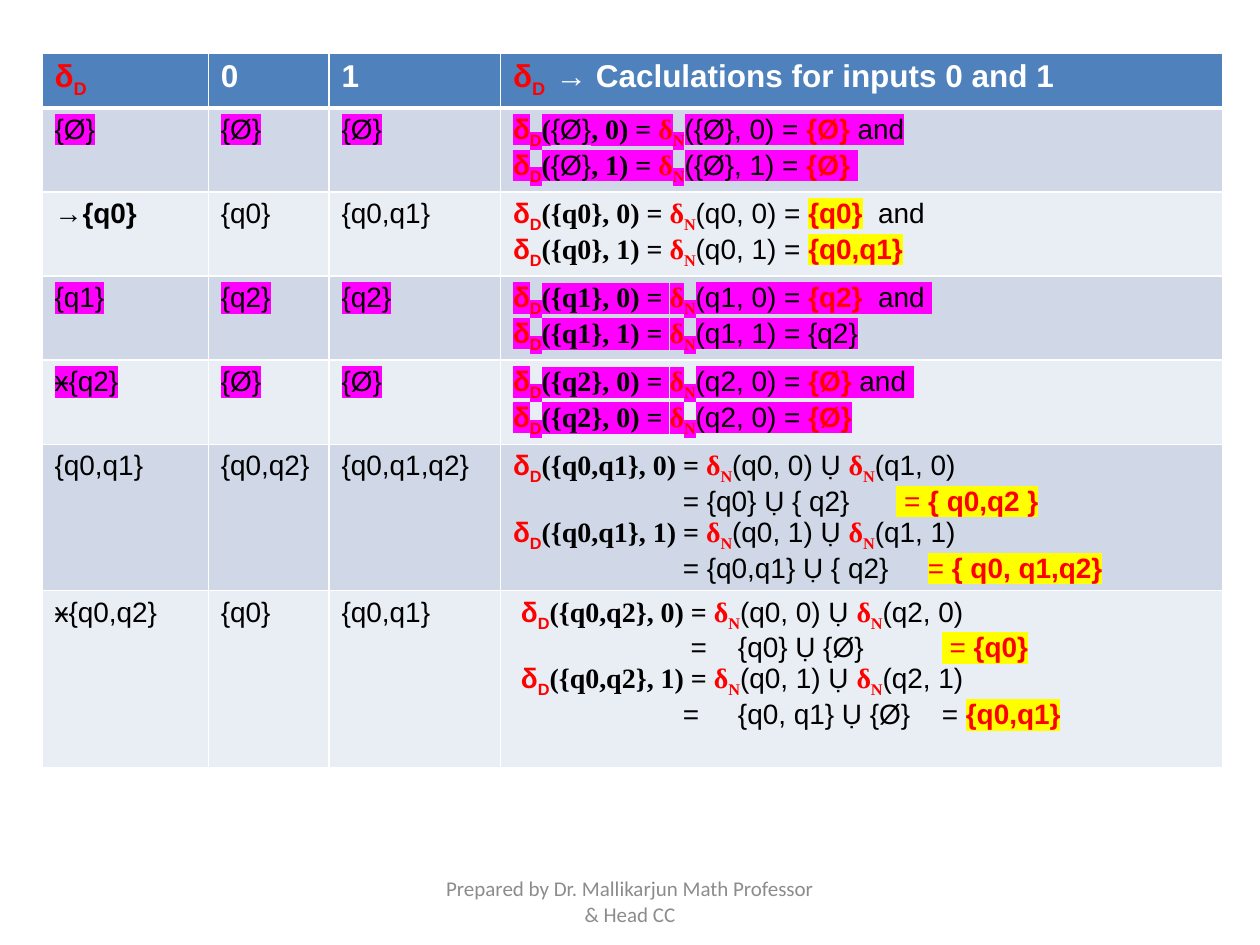
from dataclasses import dataclass, field

from lxml.etree import SubElement
from pptx import Presentation
from pptx.dml.color import RGBColor
from pptx.enum.text import MSO_ANCHOR, PP_ALIGN
from pptx.oxml.ns import qn
from pptx.util import Pt

SANS, SERIF = "Arial", "Times New Roman"
RED, BLACK, WHITE = "FF0000", "000000", "FFFFFF"
PINK, GOLD = "FF00FF", "FFFF00"


@dataclass(frozen=True)
class Look:
    font: str = SANS
    color: str = BLACK
    bold: bool = False
    sub: bool = False
    mark: str = ""


@dataclass(frozen=True)
class Theme:
    head: str = "4F81BD"
    bands: tuple = ("D0D8E8", "E9EDF4")
    line: str = WHITE
    head_size: float = 18
    body_size: float = 16
    foot_size: float = 12
    looks: dict = field(default_factory=lambda: {
        "plain": Look(),
        "bold": Look(bold=True),
        "white": Look(color=WHITE, bold=True),
        "red": Look(color=RED, bold=True),
        "redsub": Look(color=RED, bold=True, sub=True),
        "serif": Look(SERIF, bold=True),
        "delta": Look(SERIF, RED, True),
        "deltasub": Look(SERIF, RED, True, True),
        "gold": Look(color=RED, bold=True, mark=GOLD),
        "goldeq": Look(color=RED, mark=GOLD),
        "foot": Look("Calibri", "8C8C8C"),
    })


THEME = Theme()
COLS = (95, 69, 98, 413)
ROWS = (31.5, 48, 48, 48, 48, 83.5, 101.5)


# Text
def add_run(par, text, look, size, mark=""):
    style = THEME.looks[look]
    run = par.add_run()
    run.text = text
    font = run.font
    font.name, font.size, font.bold = style.font, Pt(size), style.bold
    font.color.rgb = RGBColor.from_string(style.color)
    props = run._r.get_or_add_rPr()
    if style.sub:
        props.set("baseline", "-25000")
    tint = style.mark or mark
    if tint:
        high = SubElement(props, qn("a:highlight"))
        SubElement(high, qn("a:srgbClr")).set("val", tint)
        props.find(qn("a:solidFill")).addnext(high)


def add_tabs(par, stops):
    tabs = SubElement(par._p.get_or_add_pPr(), qn("a:tabLst"))
    for stop in stops:
        tab = SubElement(tabs, qn("a:tab"))
        tab.set("pos", str(Pt(stop)))
        tab.set("algn", "l")


def add_lines(frame, lines, size, mark=""):
    for i, (runs, stops) in enumerate(lines):
        par = frame.paragraphs[0] if i == 0 else frame.add_paragraph()
        if stops:
            add_tabs(par, stops)
        for text, look in runs:
            add_run(par, text, look, size, mark)


# Formula parts
def line(*runs, stops=()):
    return runs, stops


def lead(*parts):
    return [("δ", "red"), ("D", "redsub"), *parts, ("δ", "delta"), ("N", "deltasub")]


def single(state, sign, *rest):
    """Transition of one state, followed by its result."""
    return line(*lead((f"({{{state}}}, {sign}) = ", "serif")),
                (f"({state}, {sign}) = ", "plain"), *rest)


def empty(sign, *rest):
    """Transition of the empty set."""
    return line(*lead(("(", "serif"), ("{Ø}", "plain"), (f", {sign}) = ", "serif")),
                (f"({{Ø}}, {sign}) = ", "plain"), ("{Ø}", "red"), (" ", "bold"), *rest)


def union(one, two, sign, shift=0):
    """Transition of a pair of states, moved in by shift."""
    start = [("\t", "plain")] if shift else []
    return line(*start, *lead((f"({{{one},{two}}}, {sign}) = ", "serif")),
                (f"({one}, {sign}) Ụ ", "plain"), ("δ", "delta"), ("N", "deltasub"),
                (f"({two}, {sign})", "plain"), stops=(shift,) if shift else ())


def word(text, look="plain"):
    return [line((text, look))]


def body():
    both = ("and", "plain")
    void = ("{Ø}", "red")
    return [
        (PINK, word("{Ø}"), word("{Ø}"), word("{Ø}"), [empty(0, both), empty(1)]),
        ("", word("→{q0}", "bold"), word("{q0}"), word("{q0,q1}"),
         [single("q0", 0, ("{q0}", "gold"), ("  and", "plain")),
          single("q0", 1, ("{q0,q1}", "gold"))]),
        (PINK, word("{q1}"), word("{q2}"), word("{q2}"),
         [single("q1", 0, ("{q2}", "red"), ("  and ", "plain")),
          single("q1", 1, ("{q2}", "plain"))]),
        (PINK, word("ӿ{q2}"), word("{Ø}"), word("{Ø}"),
         [single("q2", 0, void, (" and ", "plain")), single("q2", 0, void)]),
        ("", word("{q0,q1}"), word("{q0,q2}"), word("{q0,q1,q2}"),
         [union("q0", "q1", 0),
          line(("\t= {q0} Ụ { q2}\t", "plain"), (" = ", "goldeq"),
               ("{ q0,q2 }", "gold"), stops=(97, 219)),
          union("q0", "q1", 1),
          line(("\t= {q0,q1} Ụ { q2}\t", "plain"), ("= ", "goldeq"),
               ("{ q0, q1,q2}", "gold"), stops=(97, 237))]),
        ("", word("ӿ{q0,q2}"), word("{q0}"), word("{q0,q1}"),
         [union("q0", "q2", 0, 4.5),
          line(("\t=\t{q0} Ụ {Ø}\t", "plain"), (" = ", "goldeq"),
               ("{q0}", "gold"), stops=(101.5, 128.5, 245)),
          union("q0", "q2", 1, 4.5),
          line(("\t=\t{q0, q1} Ụ {Ø}\t= ", "plain"), ("{q0,q1}\t", "gold"),
               stops=(97, 128.5, 245, 335))]),
    ]


# Table
def add_edge(props, side, width):
    edge = SubElement(props, qn(f"a:ln{side}"))
    edge.set("w", str(Pt(width)))
    fill = SubElement(edge, qn("a:solidFill"))
    SubElement(fill, qn("a:srgbClr")).set("val", THEME.line)


def fill_cell(cell, lines, tint, size, mark="", top=1, base=1):
    props = cell._tc.get_or_add_tcPr()
    for side, width in zip("LRTB", (1, 1, top, base)):
        add_edge(props, side, width)
    cell.fill.solid()
    cell.fill.fore_color.rgb = RGBColor.from_string(tint)
    add_lines(cell.text_frame, lines, size, mark)


def add_grid(slide):
    shape = slide.shapes.add_table(len(ROWS), len(COLS), Pt(24), Pt(30.2),
                                   Pt(sum(COLS)), Pt(sum(ROWS)))
    grid = shape.table
    grid.first_row = grid.horz_banding = False
    for col, width in zip(grid.columns, COLS):
        col.width = Pt(width)
    for row, height in zip(grid.rows, ROWS):
        row.height = Pt(height)

    # Heading row
    heads = [[line(("δ", "red"), ("D", "redsub"))], word("0", "white"), word("1", "white"),
             [line(("δ", "red"), ("D  ", "redsub"),
                   ("→ Caclulations for inputs 0 and 1", "white"))]]
    for c, lines in enumerate(heads):
        fill_cell(grid.cell(0, c), lines, THEME.head, THEME.head_size, base=3)

    # State rows
    for r, (mark, *cells) in enumerate(body(), 1):
        for c, lines in enumerate(cells):
            fill_cell(grid.cell(r, c), lines, THEME.bands[(r - 1) % 2],
                      THEME.body_size, mark, top=3 if r == 1 else 1)


# Footer
def add_foot(slide, text):
    box = slide.shapes.add_textbox(Pt(246), Pt(500.5), Pt(228), Pt(28.8))
    frame = box.text_frame
    frame.word_wrap = True
    frame.vertical_anchor = MSO_ANCHOR.MIDDLE
    add_lines(frame, word(text, "foot"), THEME.foot_size)
    frame.paragraphs[0].alignment = PP_ALIGN.CENTER


def main():
    deck = Presentation()
    deck.slide_width, deck.slide_height = Pt(720), Pt(540)
    slide = deck.slides.add_slide(deck.slide_layouts[6])
    add_grid(slide)
    add_foot(slide, "Prepared by Dr. Mallikarjun Math Professor & Head CC")
    deck.save("out.pptx")


if __name__ == "__main__":
    main()
